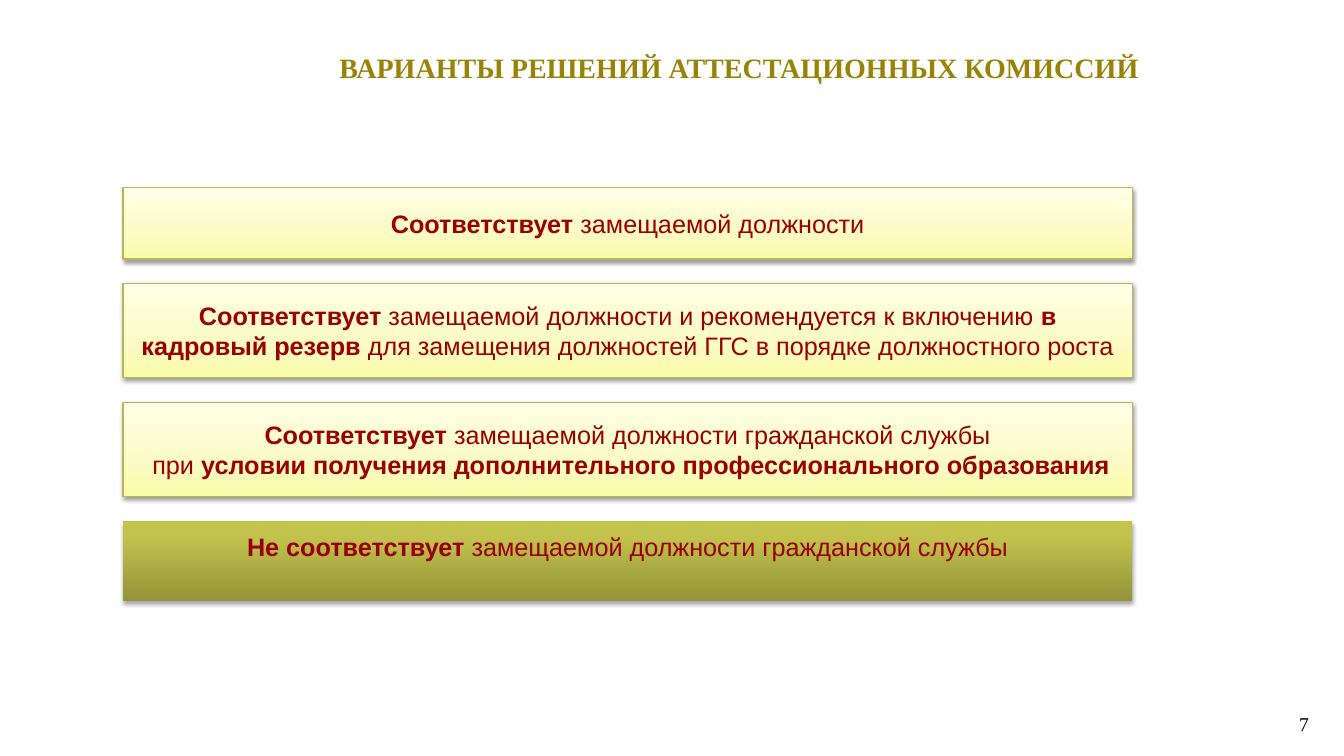
from dataclasses import dataclass

from lxml.etree import SubElement
from pptx import Presentation
from pptx.dml.color import RGBColor
from pptx.enum.shapes import MSO_SHAPE
from pptx.enum.text import MSO_ANCHOR, PP_ALIGN
from pptx.oxml.ns import qn
from pptx.util import Inches, Pt


@dataclass(frozen=True)
class Theme:
    heading_font: str = "Times New Roman"
    body_font: str = "Arial"
    title_size: int = 20
    body_size: int = 18
    number_size: int = 14
    title: str = "998307"
    body: str = "990000"
    number: str = "000000"
    border: str = "B7B758"
    shadow: str = "000000"
    positive: tuple = ((0, "FBFBA9"), (35, "FBFBC3"), (100, "FFFFE7"))
    negative: tuple = ((0, "94943A"), (80, "C1C14C"), (100, "C4C44A"))


THEME = Theme()
LEFT, TOP, WIDTH, GAP = 1.22, 1.86, 10.01, 0.24

POSITIVE_DECISIONS = [
    (0.71, ["*Соответствует *замещаемой должности"]),
    (0.94, ["*Соответствует *замещаемой должности и рекомендуется к включению "
            "*в кадровый резерв *для замещения должностей ГГС в порядке "
            "должностного роста"]),
    (0.94, ["*Соответствует *замещаемой должности гражданской службы",
            " при *условии получения дополнительного профессионального образования"]),
]
NEGATIVE_DECISION = "*Не соответствует *замещаемой должности гражданской службы"


def style_paragraph(p, font, size, color, align):
    p.alignment = align
    p.font.name = font
    p.font.size = Pt(size)
    p.font.color.rgb = RGBColor.from_string(color)


def add_label(s, box, text, size, color, align, bold=False):
    sp = s.shapes.add_textbox(*map(Inches, box))
    tf = sp.text_frame
    tf.word_wrap = True
    tf.vertical_anchor = MSO_ANCHOR.MIDDLE
    p = tf.paragraphs[0]
    p.text = text
    style_paragraph(p, THEME.heading_font, size, color, align)
    p.font.bold = bold


def add_color(parent, color):
    return SubElement(parent, qn("a:srgbClr"), val=color)


def set_gradient(sp, stops):
    sp.fill.gradient()
    sp.fill.gradient_angle = 90
    stop_list = sp._element.spPr.find(".//" + qn("a:gsLst"))
    for stop in list(stop_list):
        stop_list.remove(stop)
    for percent, color in stops:
        add_color(SubElement(stop_list, qn("a:gs"), pos=str(percent * 1000)), color)


def set_shadow(sp, alpha, distance):
    sp.shadow.inherit = False
    effects = sp._element.spPr.find(qn("a:effectLst"))
    shadow = SubElement(effects, qn("a:outerShdw"), blurRad=str(Pt(3.1)),
                        dist=str(Pt(distance)), dir="5400000", rotWithShape="0")
    SubElement(add_color(shadow, THEME.shadow), qn("a:alpha"), val=str(alpha * 1000))


def add_decision(s, top, height, lines, stops, alpha, distance):
    sp = s.shapes.add_shape(MSO_SHAPE.RECTANGLE,
                            *map(Inches, (LEFT, top, WIDTH, height)))
    set_gradient(sp, stops)
    set_shadow(sp, alpha, distance)
    tf = sp.text_frame
    tf.word_wrap = True
    tf.vertical_anchor = MSO_ANCHOR.MIDDLE
    for i, line in enumerate(lines):
        p = tf.add_paragraph() if i else tf.paragraphs[0]
        style_paragraph(p, THEME.body_font, THEME.body_size, THEME.body,
                        PP_ALIGN.CENTER)
        for j, part in enumerate(line.split("*")):
            if part:
                r = p.add_run()
                r.text = part
                r.font.bold = j % 2 == 1
    return sp


def main():
    prs = Presentation()
    prs.slide_width, prs.slide_height = Inches(13.33), Inches(7.5)
    s = prs.slides.add_slide(prs.slide_layouts[6])

    add_label(s, (1.68, 0.45, 11.3, 0.44), "ВАРИАНТЫ РЕШЕНИЙ АТТЕСТАЦИОННЫХ КОМИССИЙ",
              THEME.title_size, THEME.title, PP_ALIGN.CENTER, bold=True)
    add_label(s, (9.97, 6.98, 3.11, 0.4), "7",
              THEME.number_size, THEME.number, PP_ALIGN.RIGHT)

    top = TOP
    for height, lines in POSITIVE_DECISIONS:
        sp = add_decision(s, top, height, lines, THEME.positive, 38, 1.6)
        sp.line.color.rgb = RGBColor.from_string(THEME.border)
        sp.line.width = Pt(0.75)
        top += height + GAP

    sp = add_decision(s, top, 0.79, [NEGATIVE_DECISION], THEME.negative, 35, 1.8)
    sp.line.fill.background()
    sp.text_frame.vertical_anchor = MSO_ANCHOR.TOP
    sp.text_frame.margin_top = Inches(0.1)

    prs.save("out.pptx")


main()
